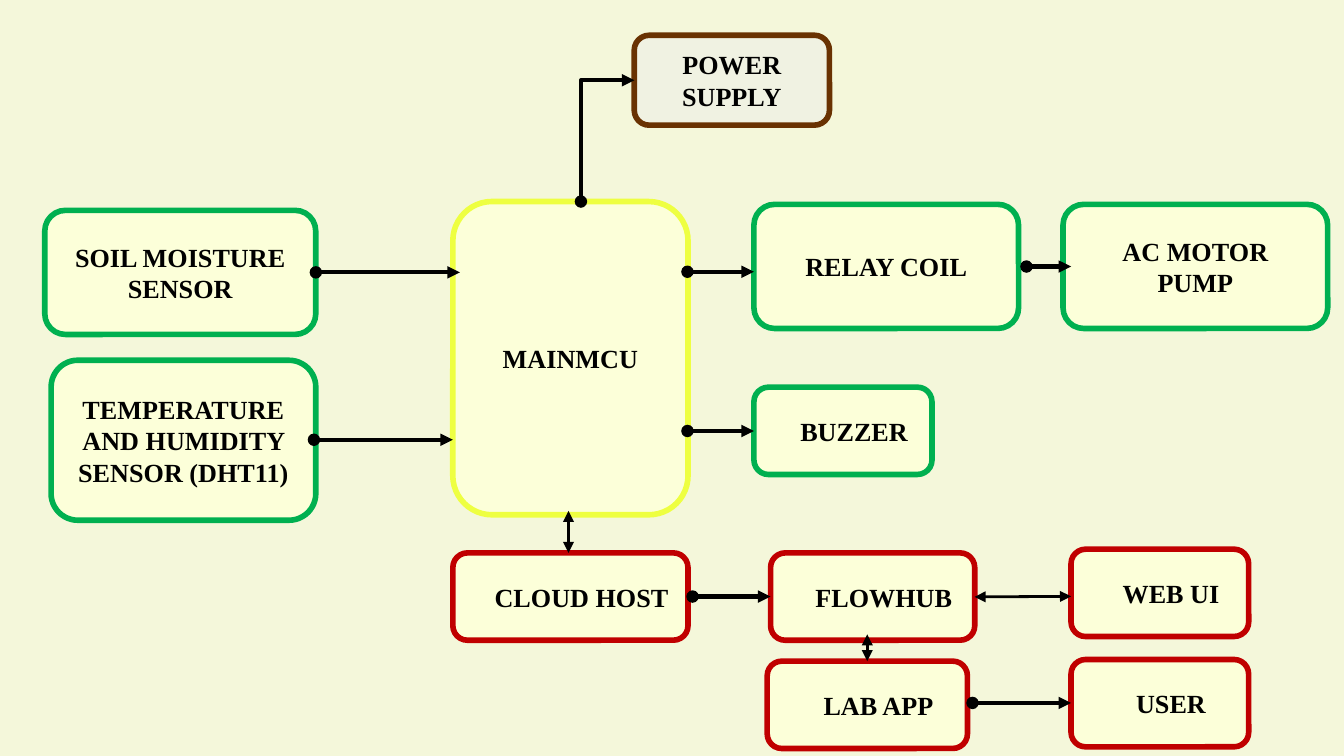
import pptx
import pptx.chart.data
import pptx.dml.color
import pptx.enum.shapes
import pptx.enum.text
import pptx.oxml
import pptx.oxml.ns
import pptx.util

Pt = pptx.util.Pt

PAPER, CREAM, GREY = "F4F7DA", "FCFFD9", "F0F2E2"
BROWN, YELLOW, GREEN, RED, BLACK = "693202", "EEFF41", "00B050", "C00000", "000000"

BLOCKS = [
    ("POWER SUPPLY", 339.8, 18.9, 104.6, 48.2, BROWN, GREY),
    ("MAINMCU", 242.6, 108, 126, 167.8, YELLOW, CREAM),
    ("RELAY COIL", 403.9, 109.5, 141.8, 66.5, GREEN, CREAM),
    ("AC MOTOR PUMP", 569.5, 109.5, 141.8, 66.5, GREEN, CREAM),
    ("SOIL MOISTURE SENSOR", 24, 112.7, 145.2, 66.5, GREEN, CREAM),
    ("TEMPERATURE AND HUMIDITY SENSOR (DHT11)", 27.4, 193, 141.8, 85.7, GREEN, CREAM),
]

SMALL_HEIGHT = 46.8
SMALL_BLOCKS = [
    ("BUZZER", 403.9, 207.4, 95.4, GREEN),
    ("CLOUD HOST", 242.6, 296.2, 126, RED),
    ("FLOWHUB", 412.8, 296.2, 109.4, RED),
    ("LAB APP", 411, 354.2, 107.3, RED),
    ("WEB UI", 573.8, 294.2, 95.2, RED),
    ("USER", 573.8, 353.3, 95.2, RED),
]

ONE_WAY = [
    (168.2, 235.6, 242.6, 235.6),
    (169.2, 145.9, 246.4, 145.9),
    (368.3, 145.6, 403.9, 145.6),
    (549.9, 142.8, 573.8, 142.8),
    (368.3, 230.9, 403.9, 230.9),
    (371, 319.6, 412.8, 319.6),
    (521, 376.6, 573.8, 376.6),
]

TWO_WAY = [
    (464.6, 339.8, 464.6, 354.2),
    (304.6, 273.7, 304.6, 296.2),
    (522.1, 319.8, 573.8, 319.5),
]


def color(value):
    """Turn a hex string into an RGB colour."""
    return pptx.dml.color.RGBColor.from_string(value)


def write(frame, text, *, size=14, font="Times New Roman", ink=BLACK, bold=True, indent=0):
    """Put one centred, formatted paragraph in a text frame."""
    frame.word_wrap = True
    frame.vertical_anchor = pptx.enum.text.MSO_ANCHOR.MIDDLE
    para = frame.paragraphs[0]
    para.alignment = pptx.enum.text.PP_ALIGN.CENTER
    if indent:
        properties = para._p.get_or_add_pPr()
        properties.set("marL", str(Pt(indent)))
        properties.set("indent", "0")
    span = para.add_run()
    span.text = text
    span.font.name = font
    span.font.size = Pt(size)
    span.font.bold = bold
    span.font.color.rgb = color(ink)


def add_block(page, text, left, top, width, height, border, fill=CREAM, indent=0):
    """Add a rounded block with a coloured border and a label."""
    box = page.shapes.add_shape(
        pptx.enum.shapes.MSO_SHAPE.ROUNDED_RECTANGLE,
        Pt(left), Pt(top), Pt(width), Pt(height))
    box.shadow.inherit = False
    box.fill.solid()
    box.fill.fore_color.rgb = color(fill)
    box.line.color.rgb = color(border)
    box.line.width = Pt(3)
    write(box.text_frame, text, indent=indent)


def add_arrow(page, x1, y1, x2, y2, *, width=2.25, head="oval", kind="STRAIGHT"):
    """Add a black connector that ends in a triangle and return it."""
    arrow = page.shapes.add_connector(
        pptx.enum.shapes.MSO_CONNECTOR[kind], Pt(x1), Pt(y1), Pt(x2), Pt(y2))
    arrow.line.color.rgb = color(BLACK)
    arrow.line.width = Pt(width)
    outline = arrow.line._get_or_add_ln()
    for tag, shape in (("a:headEnd", head), ("a:tailEnd", "triangle")):
        end = pptx.oxml.ns.qn(tag)
        outline.append(outline.makeelement(end, {"type": shape}))
    properties = arrow._element.spPr
    properties.append(properties.makeelement(pptx.oxml.ns.qn("a:effectLst"), {}))
    return arrow


def add_corner_arrow(page, x1, y1, x2, y2):
    """Add an arrow that goes up and then turns right."""
    middle_x, middle_y = (x1 + x2) / 2, (y1 + y2) / 2
    half_run, half_rise = (x2 - x1) / 2, (y1 - y2) / 2
    arrow = add_arrow(
        page, middle_x + half_rise, middle_y + half_run,
        middle_x - half_rise, middle_y - half_run, kind="ELBOW")
    properties = arrow._element.spPr
    properties.find(pptx.oxml.ns.qn("a:xfrm")).set("rot", "5400000")
    properties.find(pptx.oxml.ns.qn("a:prstGeom")).set("prst", "bentConnector2")


def main():
    """Build the block diagram and save it."""
    deck = pptx.Presentation()
    deck.slide_width, deck.slide_height = Pt(720), Pt(405)
    page = deck.slides.add_slide(deck.slide_layouts[6])
    page.background.fill.solid()
    page.background.fill.fore_color.rgb = color(PAPER)

    for block in BLOCKS:
        add_block(page, *block)
    for text, left, top, width, border in SMALL_BLOCKS:
        add_block(page, text, left, top, width, SMALL_HEIGHT, border, indent=12)

    add_corner_arrow(page, 311.2, 108, 339.8, 43)
    for ends in ONE_WAY:
        add_arrow(page, *ends)
    for ends in TWO_WAY:
        add_arrow(page, *ends, width=1.5, head="triangle")

    deck.save("out.pptx")


if __name__ == "__main__":
    main()
